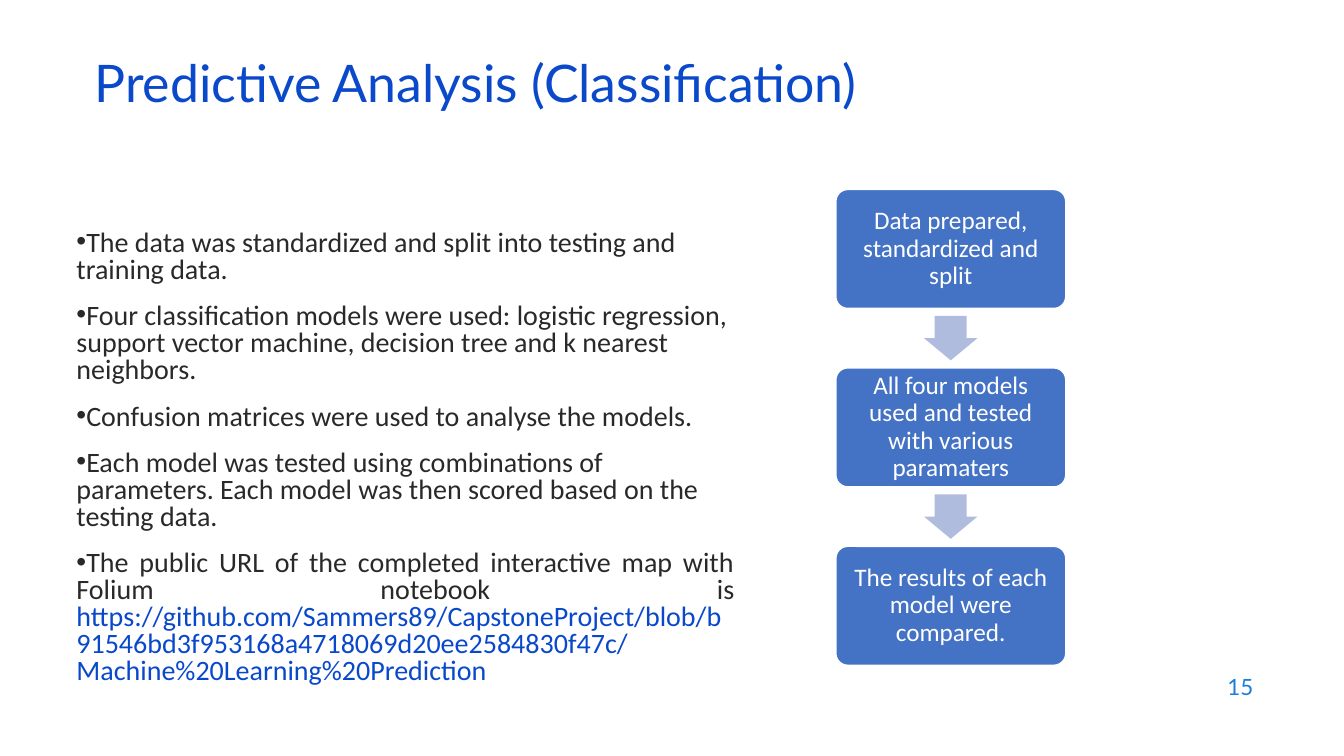
from pptx import Presentation
from pptx.dml.color import RGBColor
from pptx.enum.shapes import MSO_SHAPE
from pptx.enum.text import MSO_ANCHOR, PP_ALIGN
from pptx.util import Inches, Pt
from lxml import etree

ROUNDED, DOWN = MSO_SHAPE.ROUNDED_RECTANGLE, MSO_SHAPE.DOWN_ARROW
TOP, MIDDLE = MSO_ANCHOR.TOP, MSO_ANCHOR.MIDDLE
LEFT, CENTER, RIGHT, JUSTIFY = PP_ALIGN.LEFT, PP_ALIGN.CENTER, PP_ALIGN.RIGHT, PP_ALIGN.JUSTIFY
WHITE = RGBColor(0xFF, 0xFF, 0xFF)
DARK = RGBColor(0x29, 0x29, 0x29)
TITLE_BLUE = RGBColor(0x0B, 0x49, 0xCB)
LINK_BLUE = RGBColor(0x09, 0x48, 0xCB)
NUMBER_BLUE = RGBColor(0x1C, 0x7D, 0xDB)
STEP_BLUE = RGBColor(0x44, 0x72, 0xC4)
ARROW_BLUE = RGBColor(0xB0, 0xBC, 0xDE)
A = "http://schemas.openxmlformats.org/drawingml/2006/main"

prs = Presentation()
prs.slide_width, prs.slide_height = Inches(13.33), Inches(7.5)
s = prs.slides.add_slide(prs.slide_layouts[6])


def add_run(p, text, name, size, color):
    r = p.add_run()
    r.text = text
    r.font.name, r.font.size, r.font.color.rgb = name, Pt(size), color


def add_box(left, top, width, height, anchor):
    tf = s.shapes.add_textbox(Inches(left), Inches(top), Inches(width), Inches(height)).text_frame
    tf.word_wrap, tf.vertical_anchor = True, anchor
    return tf


p = add_box(9.53, 6.59, 3, 0.44, MIDDLE).paragraphs[0]
p.alignment = RIGHT
add_run(p, "15", "Lato", 16, NUMBER_BLUE)

p = add_box(0.84, 0.59, 11.5, 0.6, MIDDLE).paragraphs[0]
p.line_spacing = 0.7
add_run(p, "Predictive Analysis (Classification)", "Lato", 37, TITLE_BLUE)

points = [
    "The data was standardized and split into testing and training data.",
    "Four classification models were used: logistic regression, support vector machine, "
    "decision tree and k nearest neighbors.",
    "Confusion matrices were used to analyse the models.",
    "Each model was tested using combinations of parameters. "
    "Each model was then scored based on the testing data.",
    "The public URL of the completed interactive map with Folium notebook is",
]
link = (" https://github.com/Sammers89/CapstoneProject/blob/"
        "b91546bd3f953168a4718069d20ee2584830f47c/Machine%20Learning%20Prediction")

tf = add_box(0.66, 2.24, 6.72, 4.95, TOP)
for i, point in enumerate(points):
    p = tf.add_paragraph() if i else tf.paragraphs[0]
    pPr = p._p.get_or_add_pPr()
    pPr.set("marL", "0")
    pPr.set("indent", "0")
    etree.SubElement(pPr, f"{{{A}}}buFont", typeface="Arial")
    etree.SubElement(pPr, f"{{{A}}}buChar", char="•")
    p.alignment = LEFT
    p.line_spacing = 0.8
    p.space_before = Pt(14 if i else 0)
    add_run(p, point, "Calibri", 20, DARK)
p.alignment = JUSTIFY
add_run(p, link, "Calibri", 20, LINK_BLUE)

steps = [
    "Data prepared, standardized and split",
    "All four models used and tested with various paramaters",
    "The results of each model were compared.",
]
step_left, step_top, step_w, step_h, pitch = 8.29, 1.88, 2.28, 1.18, 1.77
arrow_w, arrow_h = 0.53, 0.44
for i, step in enumerate(steps):
    top = step_top + i * pitch
    sp = s.shapes.add_shape(ROUNDED, Inches(step_left), Inches(top), Inches(step_w), Inches(step_h))
    sp.adjustments[0] = 0.1
    sp.shadow.inherit = False
    sp.fill.solid()
    sp.fill.fore_color.rgb = STEP_BLUE
    sp.line.color.rgb, sp.line.width = WHITE, Pt(1)
    tf = sp.text_frame
    tf.word_wrap, tf.vertical_anchor = True, MIDDLE
    for side in ("left", "right", "top", "bottom"):
        setattr(tf, f"margin_{side}", Inches(0.1))
    p = tf.paragraphs[0]
    p.alignment, p.line_spacing = CENTER, 0.9
    add_run(p, step, "Calibri", 18, WHITE)
    if i < len(steps) - 1:
        arrow_left = step_left + (step_w - arrow_w) / 2
        arrow_top = top + (step_h + pitch - arrow_h) / 2
        sp = s.shapes.add_shape(DOWN, Inches(arrow_left), Inches(arrow_top),
                                Inches(arrow_w), Inches(arrow_h))
        sp.adjustments[0], sp.adjustments[1] = 0.6, 0.5
        sp.shadow.inherit = False
        sp.fill.solid()
        sp.fill.fore_color.rgb = ARROW_BLUE
        sp.line.fill.background()

prs.save("out.pptx")
